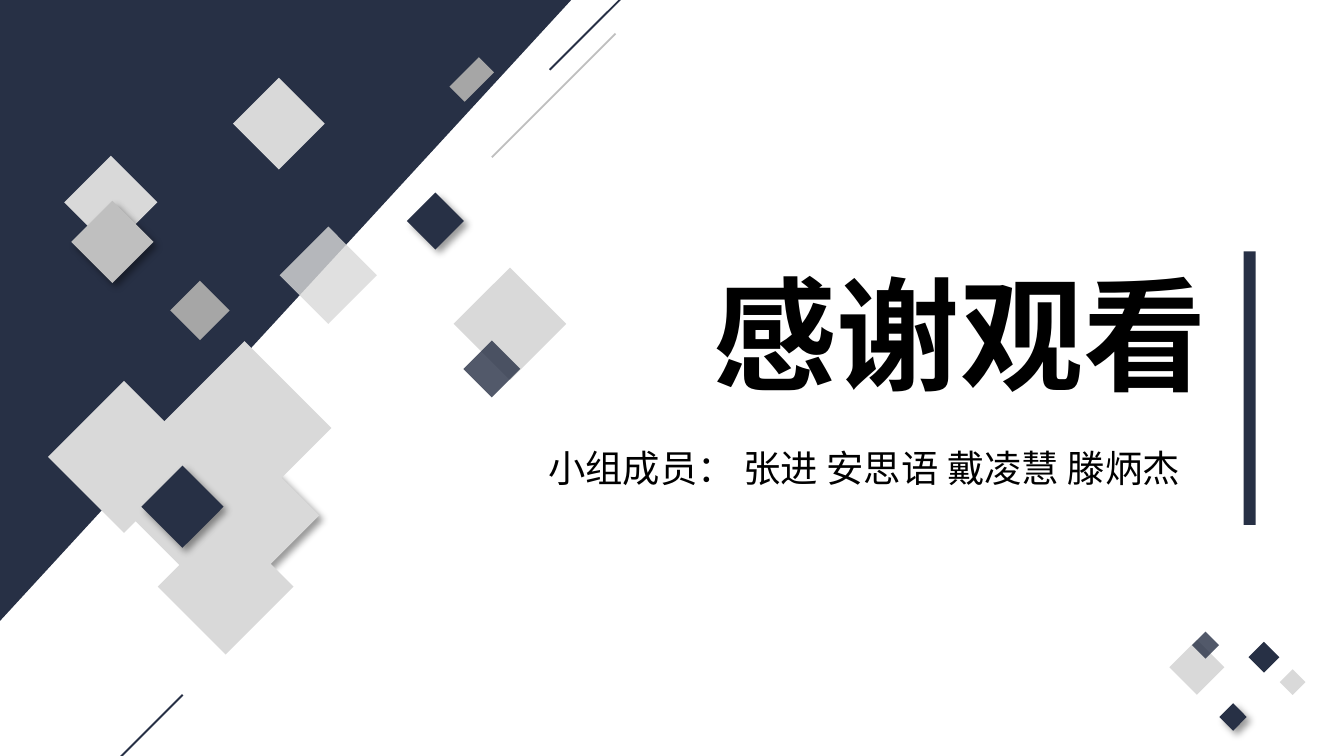
from lxml import etree
from pptx import Presentation
from pptx import util as u
from pptx.dml.color import RGBColor
from pptx.enum import shapes, text
from pptx.oxml.ns import qn

WIDE = 10
HIGH = WIDE * 9 / 16
CELL = WIDE / 100  # the grid has 100 columns of square cells
FONT = "Noto Sans CJK SC"
NAVY, PALE, MID, DARK = "273045", "D9D9D9", "BFBFBF", "A6A6A6"

# Tiles: centre column, centre row, side, colour, opacity %, shadow
TILES = [
    (20.75, 9.2, 4.83, PALE, 100, False),
    (14.88, 23.1, 3.13, DARK, 100, False),
    (8.25, 15.05, 4.9, PALE, 100, False),
    (8.37, 18, 4.33, MID, 100, True),
    (37.95, 24.1, 5.93, PALE, 100, False),
    (32.4, 16.45, 3, NAVY, 100, True),
    (36.6, 27.45, 3, NAVY, 80, False),
    (24.43, 20.48, 5.13, PALE, 80, False),
    # Large cluster
    (9.23, 34, 8, PALE, 100, False),
    (19.1, 38.35, 6.6, PALE, 100, True),
    (15.65, 35.45, 4.1, PALE, 100, False),
    (16.8, 43.65, 7.15, PALE, 100, False),
    (14.1, 37.7, 7.2, PALE, 100, False),
    (18.2, 31.85, 9.15, PALE, 100, False),
    (13.58, 37.7, 4.33, NAVY, 100, True),
    # Small corner cluster
    (94.05, 48.9, 1.63, NAVY, 100, False),
    (96.18, 50.75, 1.35, PALE, 100, False),
    (89.05, 49.65, 2.9, PALE, 100, False),
    (91.75, 53.35, 1.45, NAVY, 100, True),
    (89.7, 48, 1.43, NAVY, 80, False),
]

# Rising lines: start column, start row, colour
LINES = [(40.9, 5.2, NAVY), (36.6, 11.7, MID), (4.4, 60.9, NAVY)]
RISE = 9.2


def grid(*cells):
    return [u.Inches(cell * CELL) for cell in cells]


def hue(code):
    return RGBColor.from_string(code)


def sub(parent, tag, **attrs):
    return etree.SubElement(parent, qn(tag), attrs)


def block(slide, kind, box, code, turn=0):
    shape = slide.shapes.add_shape(kind, *grid(*box))
    shape.rotation = turn
    shape.shadow.inherit = False
    shape.fill.solid()
    shape.fill.fore_color.rgb = hue(code)
    shape.line.fill.background()
    return shape


def tile(slide, col, row, side, code, alpha=100, shade=False, depth=None):
    depth = depth or side
    box = (col - side / 2, row - depth / 2, side, depth)
    shape = block(slide, shapes.MSO_SHAPE.RECTANGLE, box, code, 315)
    props = shape.element.spPr
    if alpha < 100:
        sub(props.find(".//" + qn("a:srgbClr")), "a:alpha", val=str(alpha * 1000))
    if shade:
        drop = sub(props.find(qn("a:effectLst")), "a:outerShdw",
                   blurRad=str(u.Pt(4)), dist=str(u.Pt(3)),
                   dir=str(45 * 60000), algn="tl", rotWithShape="0")
        sub(sub(drop, "a:srgbClr", val="000000"), "a:alpha", val="40000")


def line(slide, col, row, code):
    rule = slide.shapes.add_connector(
        shapes.MSO_CONNECTOR.STRAIGHT, *grid(col, row, col + RISE, row - RISE))
    rule.line.color.rgb = hue(code)
    rule.line.width = u.Pt(1)
    sub(rule.element.spPr, "a:effectLst")


def write(shape, words, size, bold, wrap, anchor):
    frame = shape.text_frame
    frame.text = words
    frame.word_wrap = wrap
    frame.auto_size = text.MSO_AUTO_SIZE.NONE
    frame.vertical_anchor = anchor
    para = frame.paragraphs[0]
    para.alignment = text.PP_ALIGN.LEFT
    font = para.font
    font.name, font.size, font.bold = FONT, u.Pt(size), bold
    font.color.rgb = hue("000000")
    # Chinese glyphs take the East Asian typeface
    sub(para._p.pPr.find(qn("a:defRPr")), "a:ea", typeface=FONT)


def main():
    deck = Presentation()
    deck.slide_width, deck.slide_height = u.Inches(WIDE), u.Inches(HIGH)
    slide = deck.slides.add_slide(deck.slide_layouts[5])

    # Navy corner
    corner = block(slide, shapes.MSO_SHAPE.ISOSCELES_TRIANGLE,
                   (-1.85, 1.85, 46.2, 42.5), NAVY, 90)
    corner.adjustments[0] = 0

    # Tiles and lines
    for item in TILES:
        tile(slide, *item)
    tile(slide, 35.1, 5.92, 3.1, DARK, depth=1.6)
    for item in LINES:
        line(slide, *item)

    # Closing words, members and side bar
    title = slide.shapes.title
    title.left, title.top, title.width, title.height = grid(52.1, 18.7, 38.7, 12.1)
    write(title, "感谢观看", 66, True, False, text.MSO_ANCHOR.MIDDLE)
    names = slide.shapes.add_textbox(*grid(39.8, 32.6, 52.1, 4))
    write(names, "小组成员： 张进 安思语 戴凌慧 滕炳杰", 20, False, True,
          text.MSO_ANCHOR.TOP)
    block(slide, shapes.MSO_SHAPE.RECTANGLE, (92.53, 18.7, 0.9, 20.35), NAVY)

    deck.save("out.pptx")


if __name__ == "__main__":
    main()
